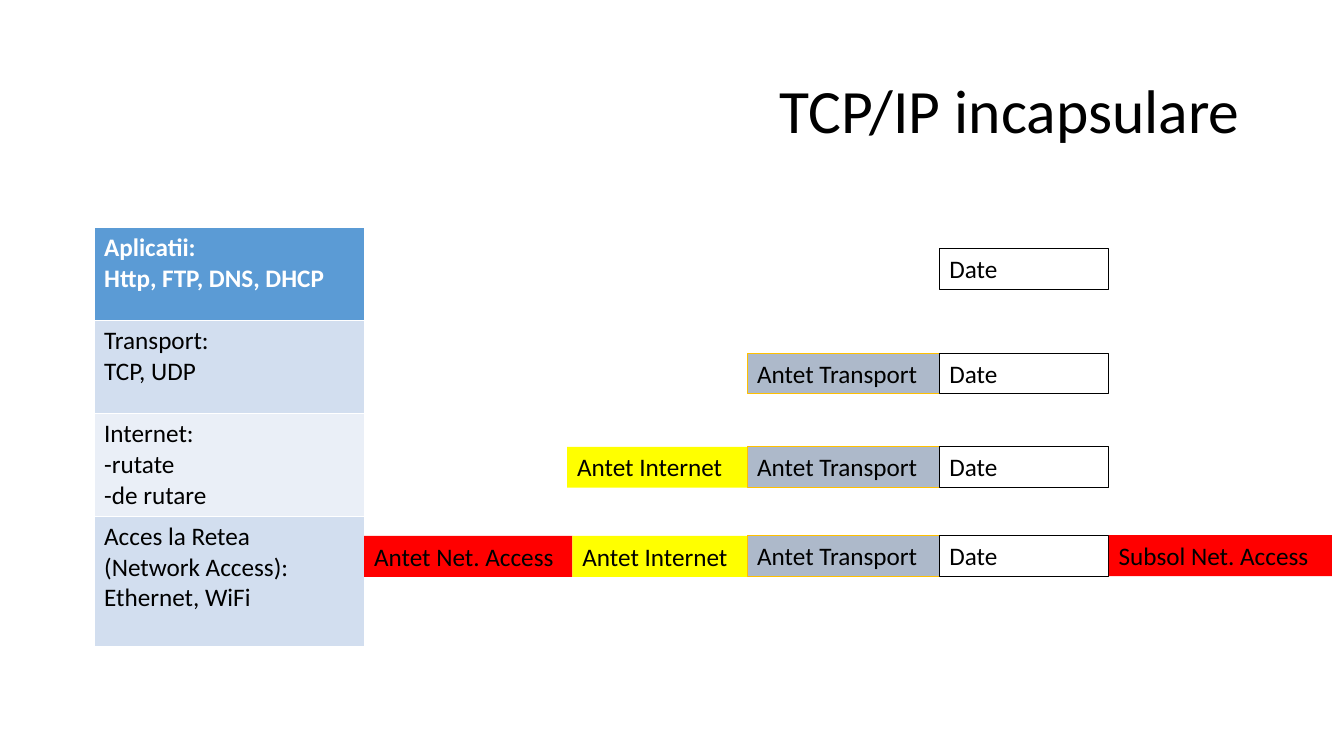
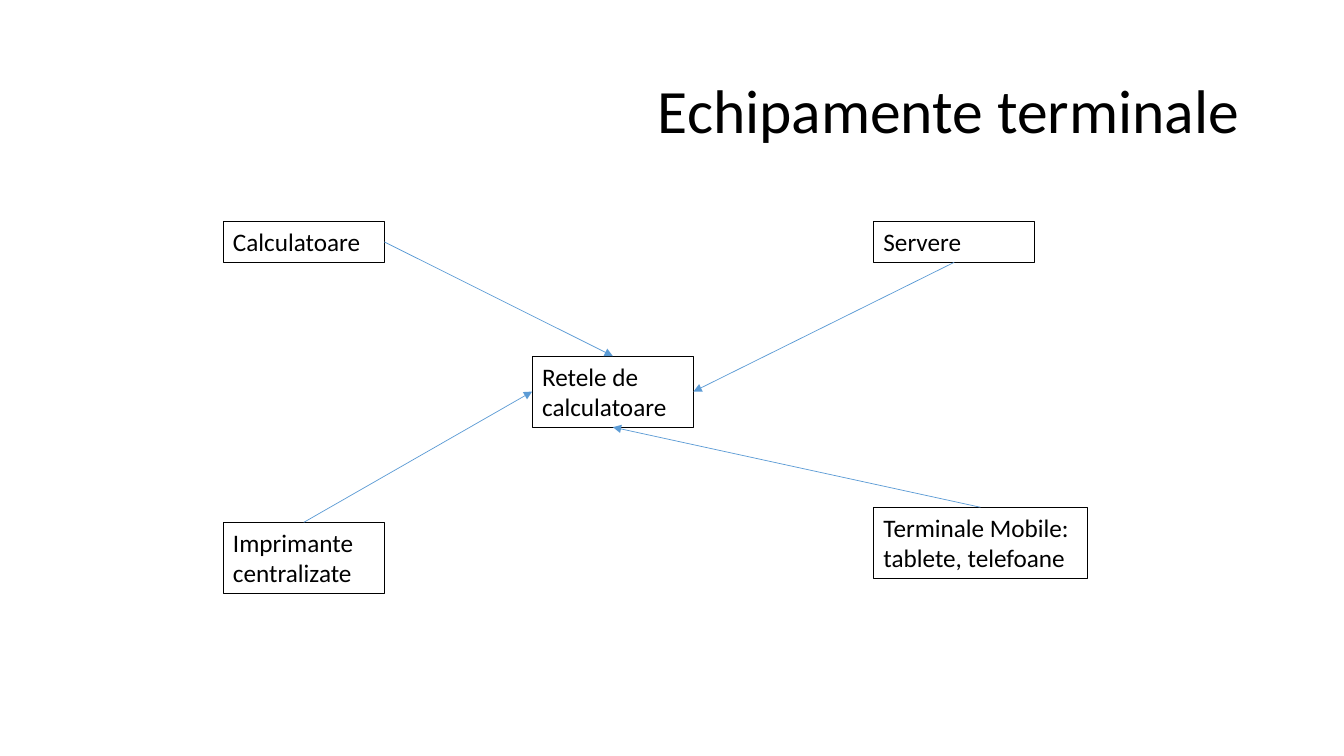
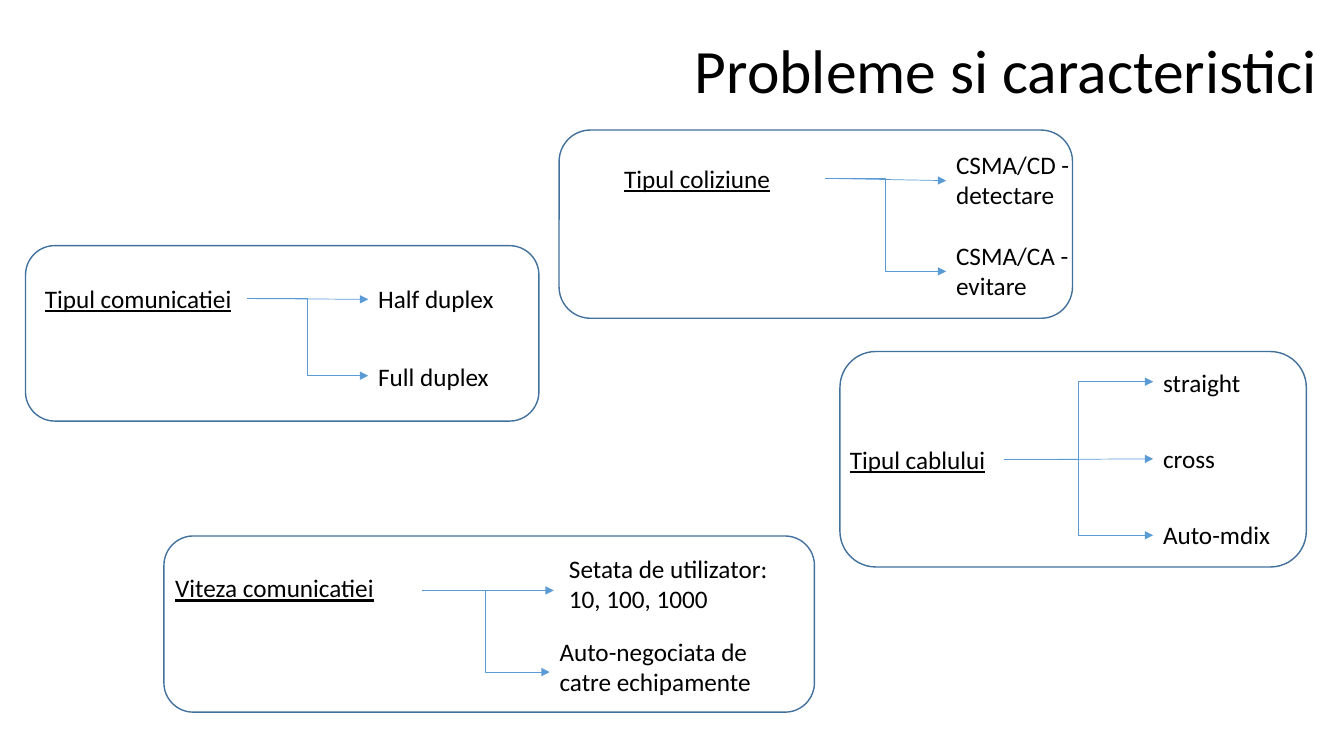
from lxml import etree
from pptx import Presentation
from pptx.dml.color import RGBColor
from pptx.enum.shapes import MSO_CONNECTOR as Connector, MSO_SHAPE as Shape
from pptx.enum.text import MSO_ANCHOR as Anchor, PP_ALIGN as Align
from pptx.oxml import parse_xml
from pptx.oxml.ns import nsdecls, qn
from pptx.util import Inches, Pt

COLORS = {
    "text": "000000", "white": "FFFFFF", "header": "5B9BD5", "band": "D2DEEF",
    "light_band": "EAEFF7", "access": "FF0000", "internet": "FFFF00",
    "transport": "ADB9CA", "transport_line": "FFC000", "arrow": "5B9BD5",
    "frame": "41719C",
}
RGB = {name: RGBColor.from_string(value) for name, value in COLORS.items()}
FONT = "Calibri"
ONE_LINE, TWO_LINES = 5.4, 9.4

presentation = Presentation()
presentation.slide_width = Inches(13.34)
presentation.slide_height = Inches(7.5)
COLUMN = presentation.slide_width / 100
ROW = presentation.slide_height / 100


def add_box(slide, text, left, top, width, height=ONE_LINE, fill=None, line=None, size=18):
    shape = slide.shapes.add_textbox(
        round(left * COLUMN), round(top * ROW), round(width * COLUMN), round(height * ROW))
    shape.text_frame.word_wrap = True
    if fill:
        shape.fill.solid()
        shape.fill.fore_color.rgb = RGB[fill]
    if line:
        shape.line.color.rgb = RGB[line]
        shape.line.width = Pt(0.75)
    run = shape.text_frame.paragraphs[0].add_run()
    run.text = text
    run.font.name = FONT
    run.font.size = Pt(size)
    run.font.color.rgb = RGB["text"]
    return shape


def add_arrow(slide, kind, begin=(0, 0), end=(0, 0)):
    arrow = slide.shapes.add_connector(
        kind, round(begin[0] * COLUMN), round(begin[1] * ROW),
        round(end[0] * COLUMN), round(end[1] * ROW))
    arrow.line.color.rgb = RGB["arrow"]
    arrow.line.width = Pt(0.5)
    etree.SubElement(arrow.line._get_or_add_ln(), qn("a:tailEnd"), type="triangle")
    etree.SubElement(arrow._element.spPr, qn("a:effectLst"))
    return arrow


titles = [
    ("TCP/IP incapsulare", 5.3, 46.5),
    ("Echipamente terminale", 5.3, 46.5),
    ("Probleme si caracteristici", 0.1, 52.3),
]
slides = []
for text, top, width in titles:
    slide = presentation.slides.add_slide(presentation.slide_layouts[6])
    title = add_box(slide, text, 46.5, top, width, 19.3, size=44)
    title.text_frame.vertical_anchor = Anchor.MIDDLE
    title.text_frame.paragraphs[0].alignment = Align.RIGHT
    title.text_frame.paragraphs[0].line_spacing = 0.9
    slides.append(slide)
encapsulation, devices, problems = slides

layers = [
    (12.3, "header", ["Aplicatii:", "Http, FTP, DNS, DHCP"]),
    (12.3, "band", ["Transport:", "TCP, UDP"]),
    (13.6, "light_band", ["Internet:", "-rutate", "-de rutare"]),
    (17.2, "band", ["Acces la Retea", "(Network Access):", "Ethernet, WiFi"]),
]
table = encapsulation.shapes.add_table(
    len(layers), 1, round(7 * COLUMN), round(30.1 * ROW), round(20.1 * COLUMN),
    round(sum(layer[0] for layer in layers) * ROW)).table
for index, (height, fill, lines) in enumerate(layers):
    table.rows[index].height = round(height * ROW)
    cell = table.cell(index, 0)
    cell.fill.solid()
    cell.fill.fore_color.rgb = RGB[fill]
    for position, side in enumerate(("lnL", "lnR", "lnT", "lnB")):
        header_edge = (index, side) in ((0, "lnB"), (1, "lnT"))
        border = parse_xml(
            f'<a:{side} {nsdecls("a")} w="{Pt(1.47 if header_edge else 0.45)}"><a:solidFill>'
            f'<a:srgbClr val="{COLORS["white"]}"/></a:solidFill></a:{side}>')
        cell._tc.get_or_add_tcPr().insert(position, border)
    frame = cell.text_frame
    for number, text in enumerate(lines):
        paragraph = frame.add_paragraph() if number else frame.paragraphs[0]
        run = paragraph.add_run()
        run.text = text
        run.font.name = FONT
        run.font.size = Pt(18)
        run.font.bold = index == 0
        run.font.color.rgb = RGB["white" if index == 0 else "text"]

PACKET_RIGHT = 82.5
data = ("Date", 69.9, "white", "text")
transport = ("Antet Transport", 55.6, "transport", "transport_line")
packets = [
    (32.9, [data]),
    (46.7, [transport, data]),
    (59.1, [("Antet Internet", 42.2, "internet", None), transport, data]),
    (70.8, [("Antet Net. Access", 27.1, "access", None),
            ("Antet Internet", 42.6, "internet", None), transport, data]),
]
for top, parts in packets:
    for text, left, fill, line in parts:
        right = 42.6 if fill == "access" else PACKET_RIGHT
        nudge = 0.1 if top == 70.8 and line is None else 0
        add_box(encapsulation, text, left, top + nudge, right - left, fill=fill, line=line)
add_box(encapsulation, "Subsol Net. Access", PACKET_RIGHT, 70.8, 16.6, fill="access")

TOP, LEFT, BOTTOM, RIGHT = range(4)
network = add_box(devices, "Retele de calculatoare", 39.6, 47.1, 12, TWO_LINES, line="text")
terminals = [
    ("Calculatoare", 16.6, 29.3, 12, ONE_LINE, RIGHT, TOP),
    ("Servere", 65, 29.3, 12, ONE_LINE, BOTTOM, RIGHT),
    ("Terminale Mobile: tablete, telefoane", 65, 67.1, 15.9, TWO_LINES, TOP, BOTTOM),
    ("Imprimante centralizate", 16.6, 69.1, 12, TWO_LINES, TOP, LEFT),
]
for text, left, top, width, height, exit_side, entry_side in terminals:
    terminal = add_box(devices, text, left, top, width, height, line="text")
    arrow = add_arrow(devices, Connector.STRAIGHT)
    arrow.begin_connect(terminal, exit_side)
    arrow.end_connect(network, entry_side)

topics = [
    ((1.9, 32.5, 38.2, 23.2), ("Tipul comunicatiei", 2.6, 36.8, 15.7), (18.4, 39.5), [
        ("Half duplex", 27.4, 36.8, 11.4, ONE_LINE, (27.4, 39.6)),
        ("Full duplex", 27.4, 47.1, 11.4, ONE_LINE, (27.4, 49.7))]),
    ((12.2, 70.9, 48.4, 23.3), ("Viteza comunicatiei", 12.3, 75.1, 19.1), (31.4, 78.1), [
        ("Setata de utilizator: 10, 100, 1000", 41.6, 72.5, 19, TWO_LINES, (41.2, 78.1)),
        ("Auto-negociata de catre echipamente", 40.9, 83.5, 17.5, TWO_LINES, (40.9, 88.9))]),
    ((62.5, 46.5, 34.7, 28.5), ("Tipul cablului", 62.5, 58.1, 12.1), (74.7, 60.8), [
        ("straight", 85.8, 47.9, 11.4, ONE_LINE, (85.8, 50.5)),
        ("cross", 85.8, 58, 11.4, ONE_LINE, (85.8, 60.7)),
        ("Auto-mdix", 85.8, 68.1, 11.4, ONE_LINE, (85.8, 70.8))]),
    ((41.6, 17.2, 38.2, 24.9), ("Tipul coliziune", 45.7, 20.9, 15.7), (61.4, 23.6), [
        ("CSMA/CD - detectare", 70.4, 19.1, 11.4, TWO_LINES, (70.4, 23.9)),
        ("CSMA/CA - evitare", 70.4, 31.1, 11.4, TWO_LINES, (70.4, 35.9))]),
]
for (left, top, width, height), label, start, options in topics:
    outline = problems.shapes.add_shape(
        Shape.ROUNDED_RECTANGLE, round(left * COLUMN), round(top * ROW),
        round(width * COLUMN), round(height * ROW))
    outline.shadow.inherit = False
    outline.fill.background()
    outline.line.color.rgb = RGB["frame"]
    outline.line.width = Pt(1)
    heading = add_box(problems, *label)
    heading.text_frame.paragraphs[0].runs[0].font.underline = True
    for *option, end in options:
        add_box(problems, *option)
        level = abs(end[1] - start[1]) < 1
        add_arrow(problems, Connector.STRAIGHT if level else Connector.ELBOW, start, end)

presentation.save("out.pptx")
